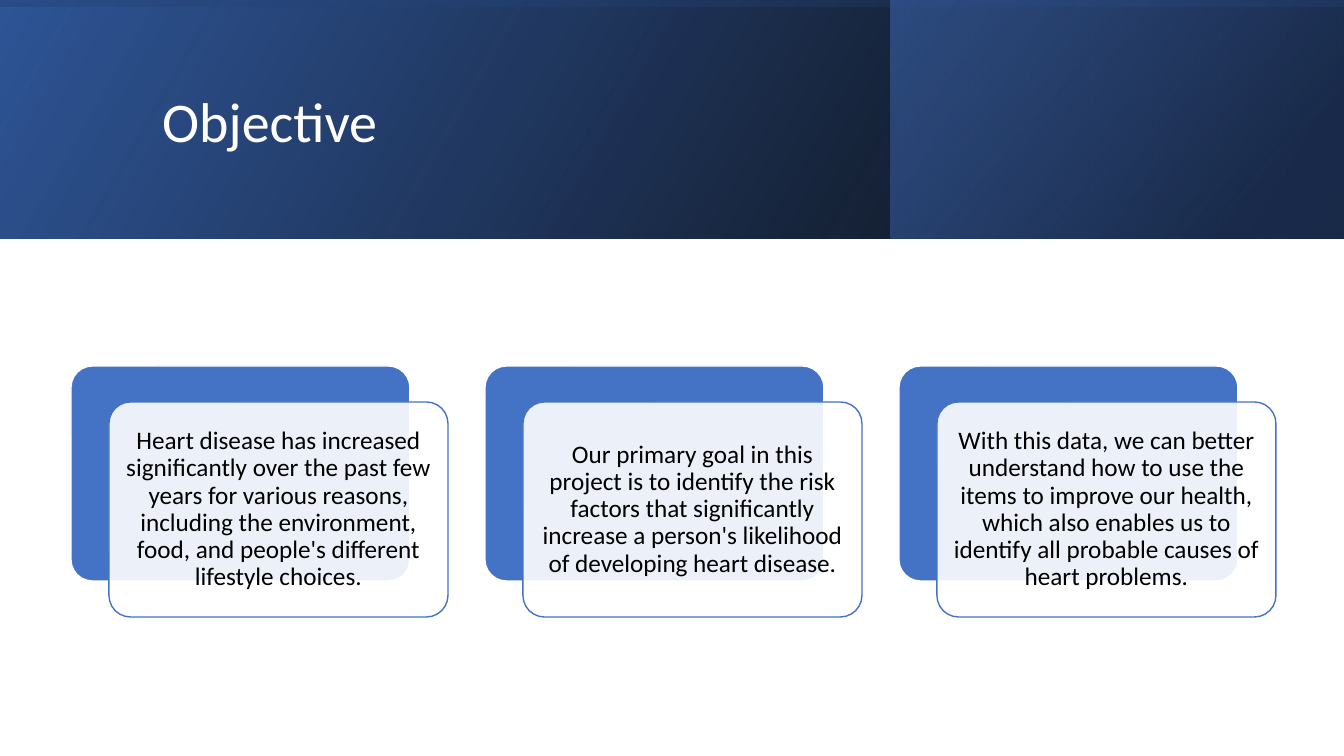
from dataclasses import dataclass

from lxml.etree import SubElement
from pptx import Presentation
from pptx.dml.color import RGBColor
from pptx.enum.shapes import MSO_SHAPE as Preset
from pptx.enum.text import MSO_ANCHOR as Anchor, MSO_AUTO_SIZE as AutoSize, PP_ALIGN as Align
from pptx.oxml import parse_xml
from pptx.oxml.ns import nsdecls, qn
from pptx.shapes.autoshape import Shape
from pptx.shapes.shapetree import GroupShapes, SlideShapes
from pptx.text.text import TextFrame
from pptx.util import Emu, Pt

EMU_PER_PX = 914400 / 100.8
WIDTH, HEIGHT = 1344, 756
BANNER_HEIGHT = 239
ROTATED_OFFSET = (WIDTH - BANNER_HEIGHT + 1) // 2

COLORS = {
    "black": "000000",
    "white": "FFFFFF",
    "blue": "4472C4",
    "deep_blue": "2F5597",
    "navy": "203864",
}

CARD_LEFT, CARD_TOP, CARD_PITCH = 71, 366, 414
CARD_WIDTH, CARD_HEIGHT = 339, 215
FRONT_DX, FRONT_DY, TEXT_INSET = 38, 36, 6

OBJECTIVES = [
    "Heart disease has increased significantly over the past few years for various reasons, "
    "including the environment, food, and people's different lifestyle choices.",
    "Our primary goal in this project is to identify the risk factors that significantly "
    "increase a person's likelihood of developing heart disease.",
    "With this data, we can better understand how to use the items to improve our health, "
    "which also enables us to identify all probable causes of heart problems.",
]


@dataclass(frozen=True)
class Box:
    left: int
    top: int
    width: int
    height: int


@dataclass(frozen=True)
class Stop:
    position: int
    color: str
    opacity: int


@dataclass(frozen=True)
class BannerLayer:
    box: Box
    stops: tuple[Stop, ...]
    angle: int
    rotation: int = 0


BANNER = [
    BannerLayer(Box(0, 0, WIDTH, BANNER_HEIGHT),
                (Stop(0, "black", 96), Stop(100, "deep_blue", 100)), 330),
    BannerLayer(Box(891, 0, 452, BANNER_HEIGHT),
                (Stop(19, "navy", 68), Stop(100, "blue", 48)), 320),
    BannerLayer(Box(ROTATED_OFFSET, -ROTATED_OFFSET, BANNER_HEIGHT, WIDTH),
                (Stop(23, "deep_blue", 16), Stop(99, "black", 45)), 350, 270),
]


def px(value: int) -> Emu:
    return Emu(round(value * EMU_PER_PX))


def bounds(box: Box) -> tuple[Emu, ...]:
    return px(box.left), px(box.top), px(box.width), px(box.height)


def rgb(name: str) -> RGBColor:
    return RGBColor.from_string(COLORS[name])


def write_text(frame: TextFrame, text: str, *, size: int, color: str,
               align: Align, margin: int | None = None) -> None:
    frame.word_wrap = True
    frame.auto_size = AutoSize.NONE
    frame.vertical_anchor = Anchor.MIDDLE
    if margin is not None:
        frame.margin_left = frame.margin_right = px(margin)
        frame.margin_top = frame.margin_bottom = px(margin)
    paragraph = frame.paragraphs[0]
    paragraph.alignment = align
    paragraph.line_spacing = 0.9
    run = paragraph.add_run()
    run.text = text
    run.font.name = "Calibri"
    run.font.size = Pt(size)
    run.font.color.rgb = rgb(color)


def add_banner_layer(shapes: SlideShapes, layer: BannerLayer) -> None:
    shape = shapes.add_shape(Preset.RECTANGLE, *bounds(layer.box))
    shape.shadow.inherit = False
    shape.line.fill.background()
    shape.fill.background()
    shape.rotation = layer.rotation
    properties = shape._element.spPr
    properties.find(qn("a:xfrm")).set("flipH", "1")
    stops = "".join(
        f'<a:gs pos="{stop.position * 1000}"><a:srgbClr val="{COLORS[stop.color]}">'
        f'<a:alpha val="{stop.opacity * 1000}"/></a:srgbClr></a:gs>'
        for stop in layer.stops
    )
    gradient = parse_xml(
        f'<a:gradFill {nsdecls("a")} rotWithShape="1"><a:gsLst>{stops}</a:gsLst>'
        f'<a:lin ang="{layer.angle * 60000}" scaled="0"/></a:gradFill>'
    )
    properties.replace(properties.find(qn("a:noFill")), gradient)


def add_panel(shapes: GroupShapes, box: Box, *, fill: str, line: str,
              opacity: int = 100) -> Shape:
    shape = shapes.add_shape(Preset.ROUNDED_RECTANGLE, *bounds(box))
    shape.adjustments[0] = 0.1
    shape.shadow.inherit = False
    shape.fill.solid()
    shape.fill.fore_color.rgb = rgb(fill)
    shape.line.color.rgb = rgb(line)
    shape.line.width = Pt(1)
    if opacity < 100:
        color = shape._element.spPr.find(qn("a:solidFill"))[0]
        SubElement(color, qn("a:alpha")).set("val", str(opacity * 1000))
    return shape


def add_card(shapes: GroupShapes, left: int, text: str) -> None:
    back = Box(left, CARD_TOP, CARD_WIDTH, CARD_HEIGHT)
    front = Box(left + FRONT_DX, CARD_TOP + FRONT_DY, CARD_WIDTH, CARD_HEIGHT)
    label = Box(front.left + TEXT_INSET, front.top + TEXT_INSET,
                CARD_WIDTH - 2 * TEXT_INSET, CARD_HEIGHT - 2 * TEXT_INSET)
    add_panel(shapes, back, fill="blue", line="white")
    add_panel(shapes, front, fill="white", line="blue", opacity=90)
    textbox = shapes.add_textbox(*bounds(label))
    write_text(textbox.text_frame, text, size=18, color="black",
               align=Align.CENTER, margin=7)


def main() -> None:
    presentation = Presentation()
    presentation.slide_width, presentation.slide_height = px(WIDTH), px(HEIGHT)
    slide = presentation.slides.add_slide(presentation.slide_layouts[5])
    for layer in BANNER:
        add_banner_layer(slide.shapes, layer)

    title = slide.shapes.title
    title.left, title.top, title.width, title.height = bounds(Box(152, 38, 1072, 173))
    write_text(title.text_frame, "Objective", size=40, color="white", align=Align.LEFT)
    slide.shapes._spTree.append(title._element)

    cards = slide.shapes.add_group_shape()
    for index, text in enumerate(OBJECTIVES):
        add_card(cards.shapes, CARD_LEFT + index * CARD_PITCH, text)
    presentation.save("out.pptx")


if __name__ == "__main__":
    main()
